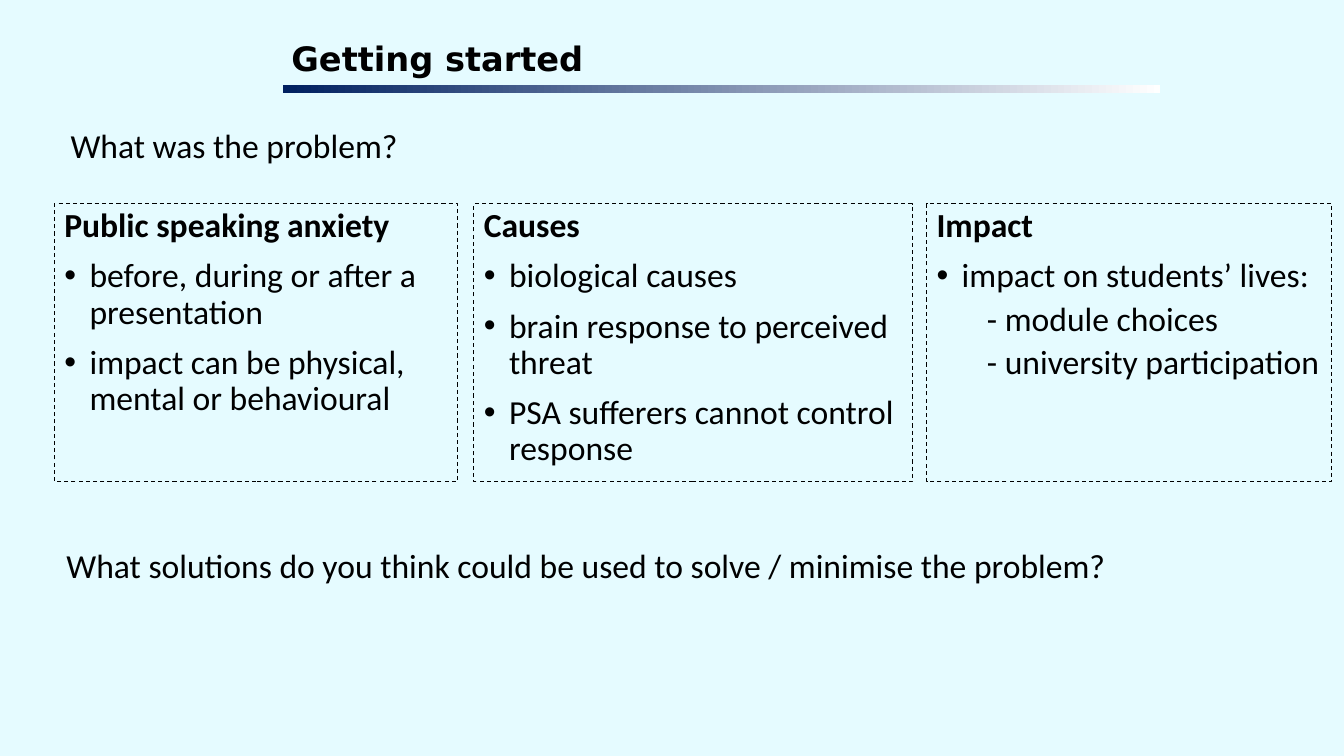
from lxml.etree import SubElement
from pptx import Presentation
from pptx.dml.color import RGBColor
from pptx.enum.dml import MSO_LINE
from pptx.enum.shapes import MSO_SHAPE
from pptx.enum.text import MSO_ANCHOR, MSO_AUTO_SIZE, PP_ALIGN
from pptx.oxml.ns import qn
from pptx.util import Inches, Pt

COLOURS = {"background": "E5FBFF", "text": "000000", "navy": "002060", "white": "FFFFFF"}
PANELS = [
    (0.54, 4, "Public speaking anxiety", [
        "before, during or after a presentation",
        "impact can be physical, mental or behavioural",
    ], []),
    (4.7, 4.35, "Causes", [
        "biological causes",
        "brain response to perceived threat",
        "PSA sufferers cannot control response",
    ], []),
    (9.19, 4.02, "Impact", ["impact on students’ lives:"],
     ["- module choices", "- university participation"]),
]


def colour(name):
    return RGBColor.from_string(COLOURS[name])


def write(para, text, font="Calibri", bold=False, level=0, left=0, hanging=0,
          before=0, spacing=1.0, bullet=None):
    para.level = level
    para.alignment = PP_ALIGN.LEFT
    para.line_spacing = spacing
    para.space_before = Pt(before)
    properties = para._p.get_or_add_pPr()
    properties.set("marL", str(Inches(left)))
    properties.set("indent", str(Inches(-hanging)))
    if bullet:
        SubElement(properties, qn("a:buFont"), typeface="Arial")
        SubElement(properties, qn("a:buChar"), char=bullet)
    else:
        SubElement(properties, qn("a:buNone"))
    span = para.add_run()
    span.text = text
    span.font.name = font
    span.font.size = Pt(24)
    span.font.bold = bold
    span.font.color.rgb = colour("text")


class SlideBuilder:
    def __init__(self, deck):
        self.page = deck.slides.add_slide(deck.slide_layouts[1])
        self.page.background.fill.solid()
        self.page.background.fill.fore_color.rgb = colour("background")

    def frame(self, box, anchor=MSO_ANCHOR.TOP, fit=MSO_AUTO_SIZE.NONE):
        frame = box.text_frame
        frame.word_wrap = True
        frame.auto_size = fit
        frame.vertical_anchor = anchor
        return frame

    def place(self, box, left, top, width, height):
        box.left, box.top = Inches(left), Inches(top)
        box.width, box.height = Inches(width), Inches(height)

    def rectangle(self, left, top, width, height):
        box = self.page.shapes.add_shape(
            MSO_SHAPE.RECTANGLE, Inches(left), Inches(top), Inches(width), Inches(height))
        box.shadow.inherit = False
        return box

    def title(self, text, *place):
        box = self.page.shapes.title
        self.place(box, *place)
        frame = self.frame(box, MSO_ANCHOR.MIDDLE)
        frame.margin_left = frame.margin_right = Inches(0.04)
        frame.margin_top = frame.margin_bottom = Inches(0.04)
        write(frame.paragraphs[0], text, font="DejaVu Sans", bold=True)

    def body(self, text, *place):
        box = self.page.placeholders[1]
        self.place(box, *place)
        write(self.frame(box).paragraphs[0], text, before=10, spacing=0.9)

    def gradient_bar(self, *place):
        bar = self.rectangle(*place)
        bar.line.fill.background()
        bar.fill.gradient()
        bar.fill.gradient_angle = 180
        for stop, name in zip(bar.fill.gradient_stops, ("white", "navy")):
            stop.color.rgb = colour(name)

    def panel(self, left, width, heading, points, details):
        box = self.rectangle(left, 2.02, width, 2.76)
        box.fill.background()
        box.line.color.rgb = colour("text")
        box.line.width = Pt(0.75)
        box.line.dash_style = MSO_LINE.DASH
        frame = self.frame(box)
        write(frame.paragraphs[0], heading, bold=True, before=10, spacing=0.9)
        for point in points:
            write(frame.add_paragraph(), point, left=0.25, hanging=0.25,
                  before=10, spacing=0.9, bullet="•")
        for detail in details:
            write(frame.add_paragraph(), detail, level=1, left=0.5, before=5, spacing=0.9)

    def text(self, text, left, top, width, height):
        box = self.page.shapes.add_textbox(
            Inches(left), Inches(top), Inches(width), Inches(height))
        frame = self.frame(box, fit=MSO_AUTO_SIZE.SHAPE_TO_FIT_TEXT)
        write(frame.paragraphs[0], text)


def main():
    deck = Presentation()
    deck.slide_width, deck.slide_height = Inches(13.33), Inches(7.5)
    builder = SlideBuilder(deck)
    builder.title("Getting started", 2.85, 0.31, 8.66, 0.53)
    builder.gradient_bar(2.81, 0.84, 8.7, 0.08)
    builder.body("What was the problem?", 0.6, 1.23, 10.47, 0.71)
    for panel in PANELS:
        builder.panel(*panel)
    builder.text("What solutions do you think could be used to solve / minimise the problem?",
                 0.56, 5.36, 12.21, 0.5)
    deck.save("out.pptx")


if __name__ == "__main__":
    main()
